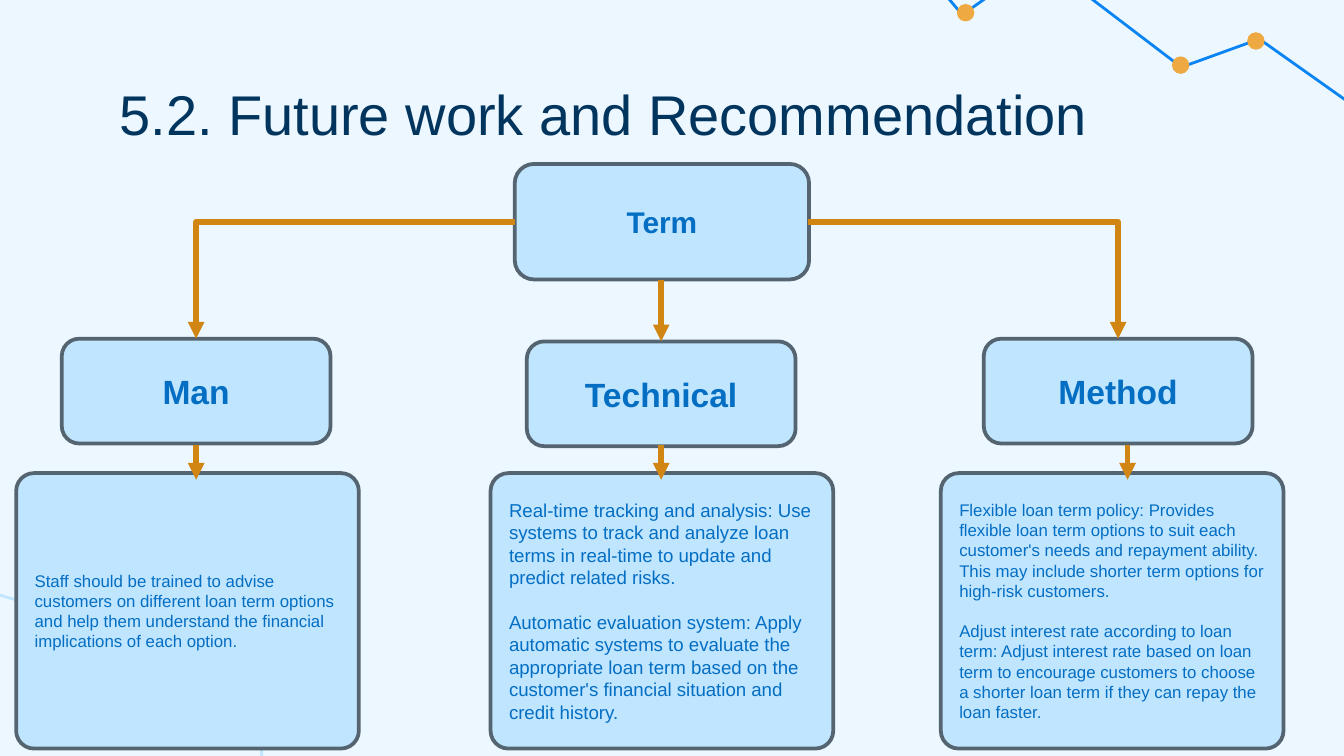
from lxml import etree
from pptx import Presentation
from pptx import util as u
from pptx.dml.color import RGBColor
from pptx.enum import shapes, text
from pptx.oxml.ns import qn
from pptx.util import Inches

COLORS = {
    "background": "ECF7FF", "title": "02355E", "box": "C0E5FF",
    "border": "546470", "text": "046EC3", "arrow": "D18513",
    "trend": "0A84F2", "dot": "EEA942",
}
FONT = "Arial"

TREND = [(10.74, 1.26), (9.37, 0.29), (8.79, 0.5), (7.74, -0.3), (7.16, 0.11),
         (6.39, -0.8), (5.59, -0.69), (4.44, -1.32), (4.25, -1.68)]
LOWER_TREND = [(-1.16, 4.09), (0.45, 4.56), (0.65, 5.14), (1.94, 5.46), (1.97, 6.17),
               (3.17, 6.2), (3.58, 6.9), (4.78, 7.41), (5.19, 7.34)]
DOTS = [(8.72, 0.42), (9.28, 0.24), (7.12, 0.03)]

# Heading, heading left and top, detail left, arrow x, detail size, detail paragraphs
BRANCHES = [
    ("Man", 0.46, 2.52, 0.12, 1.46, 9, [
        "Staff should be trained to advise customers on different loan term options "
        "and help them understand the financial implications of each option."]),
    ("Technical", 3.92, 2.54, 3.65, 4.92, 10, [
        "Real-time tracking and analysis: Use systems to track and analyze loan terms "
        "in real-time to update and predict related risks.",
        "Automatic evaluation system: Apply automatic systems to evaluate the "
        "appropriate loan term based on the customer's financial situation and "
        "credit history."]),
    ("Method", 7.32, 2.52, 7, 8.39, 9, [
        "Flexible loan term policy: Provides flexible loan term options to suit each "
        "customer's needs and repayment ability. This may include shorter term "
        "options for high-risk customers.",
        "Adjust interest rate according to loan term: Adjust interest rate based on "
        "loan term to encourage customers to choose a shorter loan term if they can "
        "repay the loan faster."]),
]


def color(name):
    return RGBColor.from_string(COLORS[name])


def format_paragraph(paragraph, size, color_name, bold=False, align=text.PP_ALIGN.LEFT):
    paragraph.alignment = align
    for run in paragraph.runs:
        run.font.name = FONT
        run.font.size = u.Pt(size)
        run.font.bold = bold
        run.font.color.rgb = color(color_name)


def add_title(slide, wording):
    title = slide.shapes.title
    title.left, title.top = Inches(0.79), Inches(0.49)
    title.width, title.height = Inches(8.43), Inches(0.63)
    frame = title.text_frame
    frame.text = wording
    frame.auto_size = text.MSO_AUTO_SIZE.NONE
    frame.vertical_anchor = text.MSO_ANCHOR.TOP
    frame.margin_left = frame.margin_right = Inches(0.1)
    frame.margin_top = frame.margin_bottom = Inches(0.1)
    format_paragraph(frame.paragraphs[0], 30, "title")


def add_trend(slide, points, color_name):
    corners = [(Inches(x), Inches(y)) for x, y in points]
    builder = slide.shapes.build_freeform(*corners[0])
    builder.add_line_segments(corners[1:], close=False)
    trend = builder.convert_to_shape()
    trend.shadow.inherit = False
    trend.fill.background()
    trend.line.color.rgb = color(color_name)
    trend.line.width = u.Pt(1.5)


def add_dot(slide, left, top):
    dot = slide.shapes.add_shape(shapes.MSO_SHAPE.OVAL, Inches(left), Inches(top),
                                 Inches(0.13), Inches(0.13))
    dot.shadow.inherit = False
    dot.fill.solid()
    dot.fill.fore_color.rgb = color("dot")
    dot.line.fill.background()


def add_box(slide, left, top, width, height):
    box = slide.shapes.add_shape(shapes.MSO_SHAPE.ROUNDED_RECTANGLE, Inches(left),
                                 Inches(top), Inches(width), Inches(height))
    box.shadow.inherit = False
    box.fill.solid()
    box.fill.fore_color.rgb = color("box")
    box.line.color.rgb = color("border")
    box.line.width = u.Pt(2)
    box.text_frame.word_wrap = True
    box.text_frame.vertical_anchor = text.MSO_ANCHOR.MIDDLE
    return box


def add_heading(slide, wording, left, top, width, height, size):
    frame = add_box(slide, left, top, width, height).text_frame
    frame.text = wording
    format_paragraph(frame.paragraphs[0], size, "text", True, text.PP_ALIGN.CENTER)


def add_detail(slide, left, size, wordings):
    box = add_box(slide, left, 3.52, 2.55, 2.05)
    box.adjustments[0] = 0.065
    box.text_frame.text = "\n".join(wordings)
    for paragraph in box.text_frame.paragraphs:
        format_paragraph(paragraph, size, "text")
    for paragraph in box.text_frame.paragraphs[1:]:
        paragraph.space_before = u.Pt(1.2 * size)


def add_arrow(slide, start, end):
    """Straight when vertical, otherwise across and then down."""
    bent = start[0] != end[0]
    kind = shapes.MSO_CONNECTOR.ELBOW if bent else shapes.MSO_CONNECTOR.STRAIGHT
    arrow = slide.shapes.add_connector(kind, *(Inches(v) for v in start + end))
    arrow.line.color.rgb = color("arrow")
    arrow.line.width = u.Pt(3)
    properties = arrow.element.spPr
    if bent:
        properties.find(qn("a:prstGeom")).set("prst", "bentConnector2")
    etree.SubElement(properties.find(qn("a:ln")), qn("a:tailEnd"), type="triangle")
    etree.SubElement(properties, qn("a:effectLst"))


def main():
    deck = Presentation()
    deck.slide_width = Inches(10)
    deck.slide_height = Inches(10) * 9 // 16
    slide = deck.slides.add_slide(deck.slide_layouts[5])
    slide.background.fill.solid()
    slide.background.fill.fore_color.rgb = color("background")

    # Decorative trend lines
    add_trend(slide, TREND, "trend")
    for left, top in DOTS:
        add_dot(slide, left, top)
    add_trend(slide, LOWER_TREND, "box")

    # Title and boxes
    add_title(slide, "5.2. Future work and Recommendation")
    add_heading(slide, "Term", 3.83, 1.22, 2.19, 0.86, 16)
    for heading, left, top, detail_left, _, size, wordings in BRANCHES:
        add_heading(slide, heading, left, top, 2, 0.78, 18)
        add_detail(slide, detail_left, size, wordings)

    # Arrows from the term to its branches, then to their details
    add_arrow(slide, (3.83, 1.65), (1.46, 2.52))
    add_arrow(slide, (6.01, 1.65), (8.32, 2.52))
    add_arrow(slide, (4.92, 2.08), (4.92, 2.54))
    for branch in BRANCHES:
        arrow_x = branch[4]
        add_arrow(slide, (arrow_x, 3.31), (arrow_x, 3.57))

    deck.save("out.pptx")


if __name__ == "__main__":
    main()
